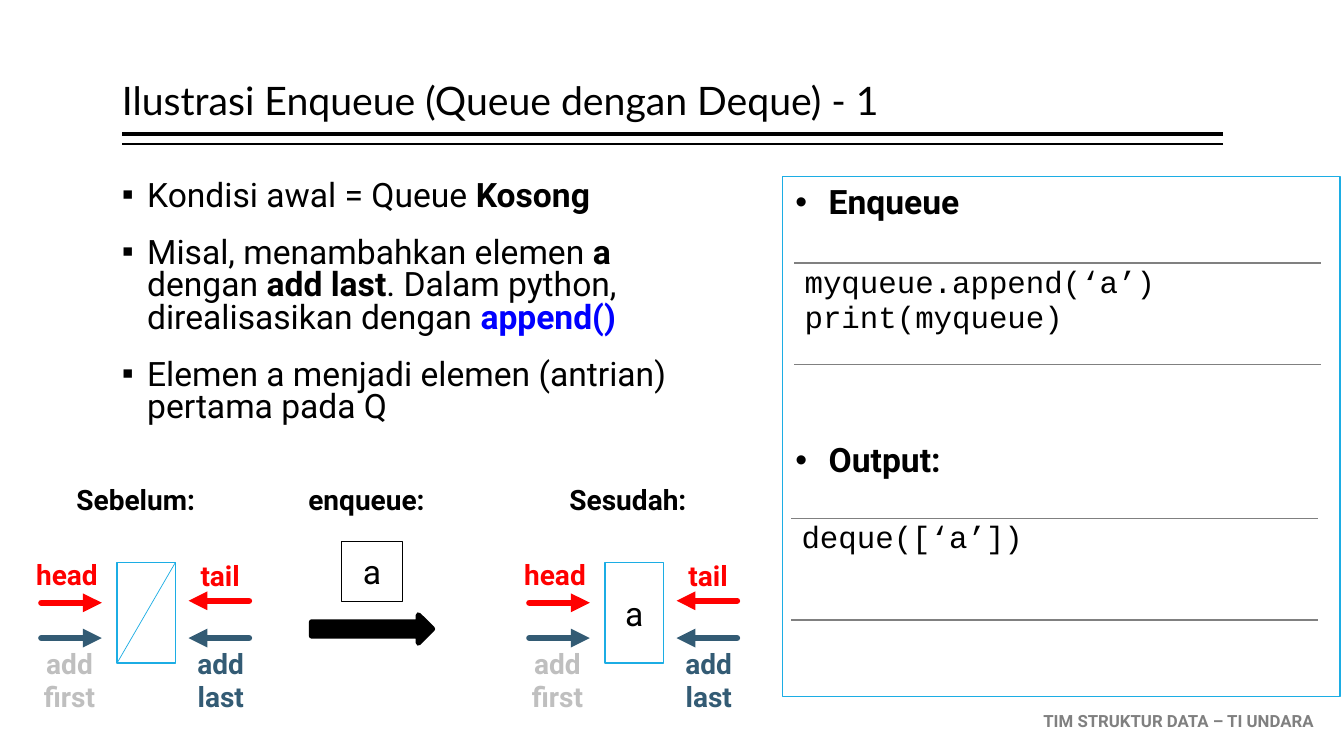
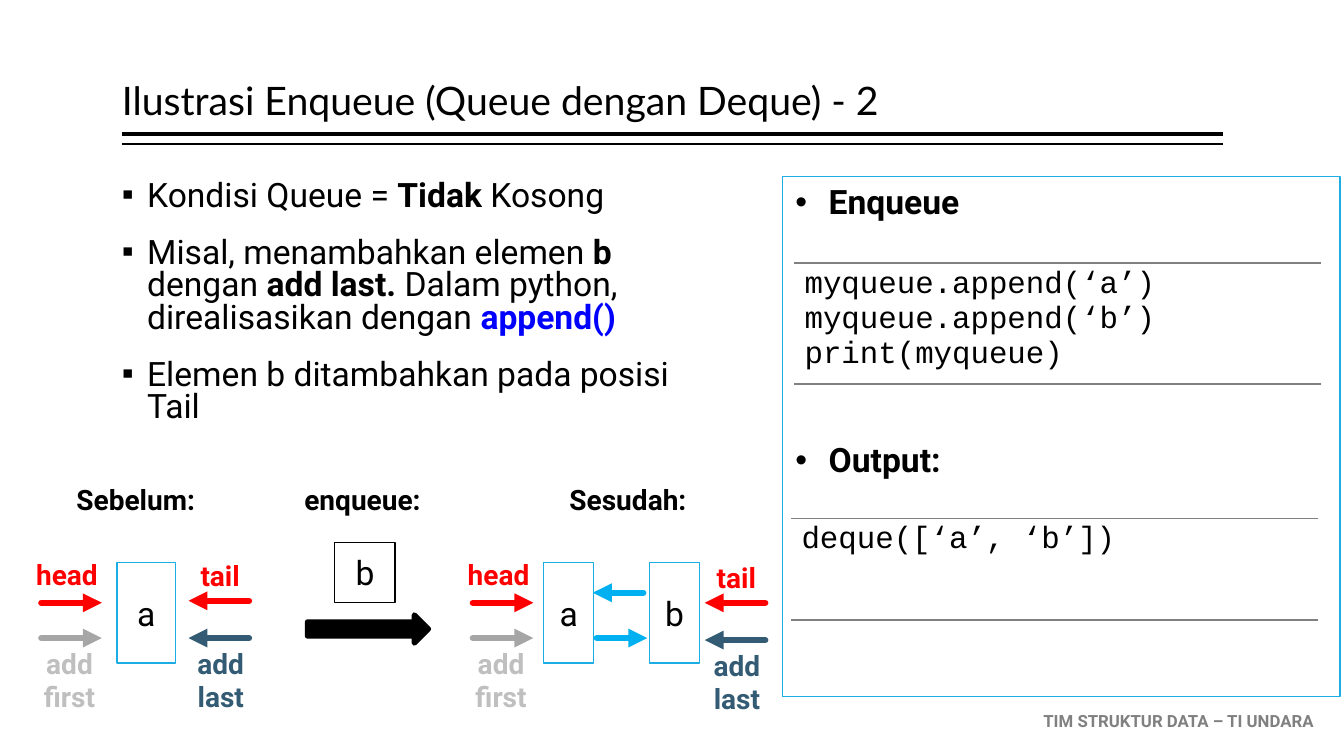
from dataclasses import dataclass
from typing import NamedTuple

from lxml.etree import SubElement
from pptx import Presentation
from pptx.dml.color import RGBColor
from pptx.enum.shapes import MSO_CONNECTOR, MSO_SHAPE
from pptx.enum.text import MSO_ANCHOR, MSO_AUTO_SIZE, PP_ALIGN
from pptx.oxml.ns import qn
from pptx.util import Emu, Pt

# Theme: 100 px to the inch
PX = 9144
BLACK, WHITE, RED, BLUE = "000000", "FFFFFF", "FF0000", "0000FF"
CYAN, SKY, NAVY = "1CADE4", "00B0F0", "335B74"
GRAY, ARROW_GRAY, PALE_GRAY = "808080", "A6A6A6", "BFBFBF"
BODY_FONT, TITLE_FONT, CODE_FONT = "Roboto", "Lato", "Courier New"
FOOTER = "TIM STRUKTUR DATA – TI UNDARA"


class Span(NamedTuple):
    text: str
    bold: bool = False
    color: str = BLACK


class Box(NamedTuple):
    x: int
    y: int
    w: int
    h: int


@dataclass
class Queue:
    head_x: int
    tail_x: int
    cells_x: list[int]
    cell_w: int
    items: list[str]
    first_color: str
    tail_dy: int = 0


@dataclass
class Step:
    x: int
    item: str
    item_x: int
    item_y: int


@dataclass
class Lesson:
    title: str
    bullets: list[list[Span]]
    code: str
    output: str
    before: Queue
    step: Step
    after: Queue


def px(n: int) -> Emu:
    return Emu(n * PX)


def rgb(value: str) -> RGBColor:
    return RGBColor.from_string(value)


def place(box: Box) -> list[Emu]:
    return [px(n) for n in box]


# Text helpers
def style_run(r, size: int, color: str = BLACK, bold: bool = False,
              font: str = BODY_FONT) -> None:
    r.font.size, r.font.name, r.font.bold = Pt(size), font, bold
    r.font.color.rgb = rgb(color)


def style_text(tf, size: int, color: str = BLACK, bold: bool = False,
               font: str = BODY_FONT, align=PP_ALIGN.LEFT) -> None:
    for p in tf.paragraphs:
        p.alignment = align
        for r in p.runs:
            style_run(r, size, color, bold, font)


def set_margins(tf, side: int, top: int) -> None:
    tf.margin_left = tf.margin_right = px(side)
    tf.margin_top = tf.margin_bottom = px(top)


def add_bullet(p, char: str, indent: int) -> None:
    pPr = p._p.get_or_add_pPr()
    pPr.set("marL", str(px(indent)))
    pPr.set("indent", str(-px(indent)))
    SubElement(pPr, qn("a:buFont")).set("typeface", "Arial")
    SubElement(pPr, qn("a:buChar")).set("char", char)


def add_label(s, text: str, box: Box, size: int = 20, color: str = BLACK,
              align=PP_ALIGN.LEFT) -> None:
    tf = s.shapes.add_textbox(*place(box)).text_frame
    tf.word_wrap = False
    tf.auto_size = MSO_AUTO_SIZE.SHAPE_TO_FIT_TEXT
    tf.text = text
    style_text(tf, size, color, True, align=align)


# Shape helpers
def add_block(s, kind, box: Box, fill: str, line: str, width: float = 1):
    sp = s.shapes.add_shape(kind, *place(box))
    sp.shadow.inherit = False
    sp.fill.solid()
    sp.fill.fore_color.rgb = rgb(fill)
    sp.line.color.rgb = rgb(line)
    sp.line.width = Pt(width)
    return sp


def add_cell(s, text: str, box: Box, line: str) -> None:
    sp = add_block(s, MSO_SHAPE.RECTANGLE, box, WHITE, line)
    tf = sp.text_frame
    tf.vertical_anchor = MSO_ANCHOR.MIDDLE
    if text:
        tf.text = text
        style_text(tf, 24, align=PP_ALIGN.CENTER)


def add_line(s, x1: int, y1: int, x2: int, y2: int, color: str,
             width: float, arrow: bool = False) -> None:
    line = s.shapes.add_connector(MSO_CONNECTOR.STRAIGHT,
                                  px(x1), px(y1), px(x2), px(y2))
    line.line.color.rgb = rgb(color)
    line.line.width = Pt(width)
    if arrow:
        ln = line.line._get_or_add_ln()
        ln.set("cap", "rnd")
        SubElement(ln, qn("a:round"))
        SubElement(ln, qn("a:tailEnd")).set("type", "triangle")
    SubElement(line._element.spPr, qn("a:effectLst"))


def add_arrow(s, x: int, y: int, length: int, color: str) -> None:
    add_line(s, x, y, x + length, y, color, 4.5, arrow=True)


def add_code(s, text: str, box: Box) -> None:
    table = s.shapes.add_table(1, 1, *place(box)).table
    table.first_row = table.horz_banding = False
    cell = table.cell(0, 0)
    cell.text = text
    style_text(cell.text_frame, 22, font=CODE_FONT)
    tcPr = cell._tc.get_or_add_tcPr()
    for side in "LRTB":
        ln = SubElement(tcPr, qn(f"a:ln{side}"))
        if side in "LR":
            SubElement(ln, qn("a:noFill"))
        else:
            ln.set("w", str(Pt(1)))
            solid = SubElement(ln, qn("a:solidFill"))
            SubElement(solid, qn("a:srgbClr")).set("val", GRAY)
    cell.fill.background()


# Slide parts
def draw_frame(s, title: str) -> None:
    add_line(s, 1213, 133, 121, 133, BLACK, 3)
    add_line(s, 1213, 143, 121, 143, BLACK, 1)
    add_label(s, FOOTER, Box(1025, 700, 298, 30), 12, GRAY)
    tf = s.shapes.add_textbox(*place(Box(121, 8, 1092, 120))).text_frame
    tf.word_wrap = True
    tf.vertical_anchor = MSO_ANCHOR.BOTTOM
    set_margins(tf, 0, 5)
    tf.text = title
    tf.paragraphs[0].line_spacing = 0.9
    style_text(tf, 28, font=TITLE_FONT)


def draw_bullets(s, bullets: list[list[Span]]) -> None:
    tf = s.shapes.add_textbox(*place(Box(121, 175, 557, 273))).text_frame
    tf.word_wrap = True
    set_margins(tf, 0, 5)
    for i, spans in enumerate(bullets):
        p = tf.add_paragraph() if i else tf.paragraphs[0]
        p.line_spacing = 0.8
        p.space_before = Pt(18 if i else 0)
        add_bullet(p, "▪", 25)
        for span in spans:
            r = p.add_run()
            r.text = span.text
            style_run(r, 24, span.color, span.bold)


def draw_panel(s, code: str, output: str) -> None:
    sp = add_block(s, MSO_SHAPE.RECTANGLE, Box(776, 175, 553, 516), WHITE, CYAN)
    tf = sp.text_frame
    tf.vertical_anchor = MSO_ANCHOR.TOP
    set_margins(tf, 13, 7)
    tf.text = "Enqueue\nOutput:"
    style_text(tf, 24, bold=True)
    for p, gap in zip(tf.paragraphs, (0, 157.5)):
        p.line_spacing = 0.95
        p.space_before = Pt(gap)
        add_bullet(p, "•", 33)
    add_code(s, code, Box(788, 261, 522, 101))
    add_code(s, output, Box(785, 514, 522, 101))


def draw_queue(s, q: Queue) -> None:
    # Cells and the links between neighbours
    for x, item in zip(q.cells_x, q.items):
        add_cell(s, item, Box(x, 558, q.cell_w, 100), CYAN)
        if not item:
            add_line(s, x + q.cell_w, 558, x, 658, CYAN, 0.5)
    for x in q.cells_x[1:]:
        add_arrow(s, x - 6, 588, -50, SKY)
        add_arrow(s, x - 52, 633, 50, SKY)
    # Head side
    add_label(s, "head", Box(q.head_x - 15, 548, 86, 44), color=RED)
    add_arrow(s, q.head_x, 598, 60, RED)
    add_arrow(s, q.head_x, 633, 60, q.first_color)
    add_label(s, "add\nfirst", Box(q.head_x - 9, 636, 74, 77),
              color=PALE_GRAY, align=PP_ALIGN.CENTER)
    # Tail side
    x, dy = q.tail_x, q.tail_dy
    add_label(s, "tail", Box(x + 2, 549 + dy, 61, 44), color=RED)
    add_arrow(s, x + 60, 596 + dy, -60, RED)
    add_arrow(s, x + 60, 633 + dy, -60, NAVY)
    add_label(s, "add\nlast", Box(x - 3, 636 + dy, 70, 77),
              color=NAVY, align=PP_ALIGN.CENTER)


def draw_step(s, step: Step) -> None:
    add_label(s, "enqueue:", Box(step.x - 13, 474, 145, 44))
    add_cell(s, step.item, Box(step.item_x, step.item_y, 60, 60), BLACK)
    sp = add_block(s, MSO_SHAPE.RIGHT_ARROW, Box(step.x, 610, 120, 28),
                   BLACK, BLACK, 3.78)
    SubElement(sp.line._get_or_add_ln(), qn("a:round"))


def draw_lesson(prs, lesson: Lesson) -> None:
    s = prs.slides.add_slide(prs.slide_layouts[6])
    draw_frame(s, lesson.title)
    draw_bullets(s, lesson.bullets)
    draw_panel(s, lesson.code, lesson.output)
    add_label(s, "Sebelum:", Box(66, 474, 146, 44))
    draw_queue(s, lesson.before)
    draw_step(s, lesson.step)
    add_label(s, "Sesudah:", Box(555, 474, 147, 44))
    draw_queue(s, lesson.after)


# Content
APPEND = Span("append()", True, BLUE)
LESSONS = [
    Lesson(
        "Ilustrasi Enqueue (Queue dengan Deque) - 1",
        [[Span("Kondisi awal = Queue "), Span("Kosong", True)],
         [Span("Misal, menambahkan elemen "), Span("a ", True), Span("dengan "),
          Span("add last", True),
          Span(". Dalam python, direalisasikan dengan "), APPEND],
         [Span("Elemen a menjadi elemen (antrian) pertama pada Q")]],
        "myqueue.append(‘a’)\nprint(myqueue)",
        "deque([‘a’])",
        Queue(41, 187, [116], 58, [""], NAVY),
        Step(309, "a", 339, 537),
        Queue(525, 671, [600], 58, ["a"], NAVY),
    ),
    Lesson(
        "Ilustrasi Enqueue (Queue dengan Deque) - 2",
        [[Span("Kondisi Queue = "), Span("Tidak ", True), Span("Kosong")],
         [Span("Misal, menambahkan elemen "), Span("b ", True), Span("dengan "),
          Span("add last. ", True),
          Span("Dalam python, direalisasikan dengan "), APPEND],
         [Span("Elemen b ditambahkan pada posisi Tail")]],
        "myqueue.append(‘a’)\nmyqueue.append(‘b’)\nprint(myqueue)",
        "deque([‘a’, ‘b’])",
        Queue(41, 187, [116], 58, ["a"], ARROW_GRAY),
        Step(305, "b", 332, 538),
        Queue(469, 699, [539, 644], 50, ["a", "b"], ARROW_GRAY, tail_dy=2),
    ),
]


def main() -> None:
    prs = Presentation()
    prs.slide_width, prs.slide_height = px(1333), px(750)
    for lesson in LESSONS:
        draw_lesson(prs, lesson)
    prs.save("out.pptx")


if __name__ == "__main__":
    main()
